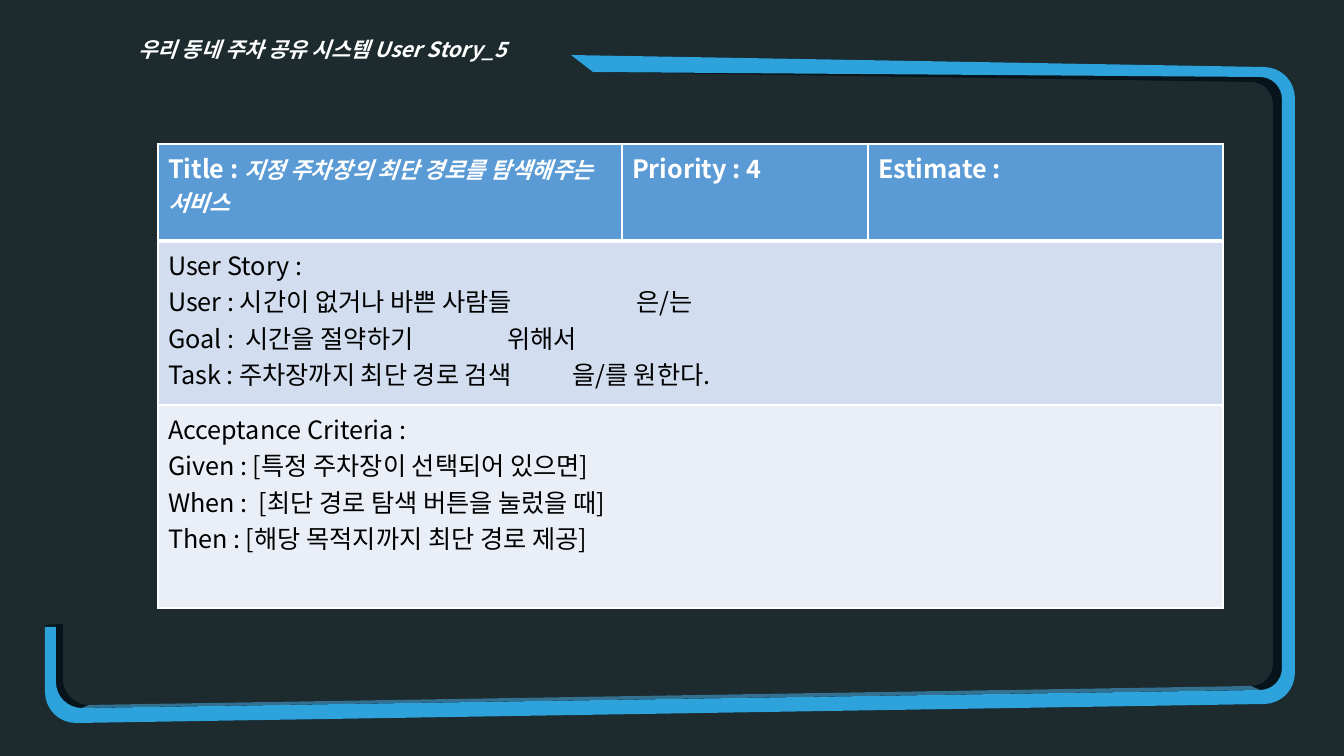
from math import cos, radians, sin

from lxml.etree import SubElement
from pptx import Presentation
from pptx.dml.color import RGBColor
from pptx.enum.text import MSO_ANCHOR, PP_ALIGN
from pptx.oxml.ns import qn
from pptx.util import Pt

PX = 914400 / 100.8
FONT = "Noto Sans CJK KR"
HEADER = {"size": Pt(18), "bold": True, "italic": False}
HEADER_DETAIL = {"size": Pt(16), "bold": True, "italic": True}
BODY = {"size": Pt(18), "bold": False, "italic": False}
HEADING = {"size": Pt(15), "bold": True, "italic": True}

COLUMNS = [464, 246, 355]
ROWS = [97, 164, 203]
HEADER_CELLS = [
    [("Title : ", HEADER), ("지정 주차장의 최단 경로를 탐색해주는 서비스", HEADER_DETAIL)],
    [("Priority : 4", HEADER)],
    [("Estimate : ", HEADER)],
]
# Each line carries the tab position of its ending, if it has one.
STORY = [
    ("User Story :", None),
    ("User : 시간이 없거나 바쁜 사람들\t은/는", 468),
    ("Goal :  시간을 절약하기\t위해서", 339),
    ("Task : 주차장까지 최단 경로 검색\t을/를 원한다.", 404),
]
CRITERIA = [
    ("Acceptance Criteria :", None),
    ("Given : [특정 주차장이 선택되어 있으면]", None),
    ("When :  [최단 경로 탐색 버튼을 눌렀을 때]", None),
    ("Then : [해당 목적지까지 최단 경로 제공]", None),
]


def emu(pixels):
    """Turn pixels into EMU."""
    return round(pixels * PX)


def color(hex_string):
    """Turn a hex string into a colour."""
    return RGBColor.from_string(hex_string)


def paint(target, hex_string):
    """Give a shape, cell or background a solid fill."""
    target.fill.solid()
    target.fill.fore_color.rgb = color(hex_string)


def write(paragraph, text, style, hex_string):
    """Add one styled run to a paragraph."""
    run = paragraph.add_run()
    run.text = text
    run.font.name = FONT
    run.font.color.rgb = color(hex_string)
    for name, value in style.items():
        setattr(run.font, name, value)
    SubElement(run.font._element, qn("a:ea"), typeface=FONT)


def arc(x, y, rx, ry, start, end):
    """Return the points of a rounded corner; angles run clockwise from the right."""
    steps = 8
    angles = [radians(start + (end - start) * i / steps) for i in range(steps + 1)]
    return [(x + rx * cos(a), y + ry * sin(a)) for a in angles]


def draw_outline(slide, box, points, hex_string):
    """Fill a closed outline whose points are relative to the box."""
    left, top = box
    corners = [(emu(left + x), emu(top + y)) for x, y in points]
    builder = slide.shapes.build_freeform(*corners[0], scale=1.0)
    builder.add_line_segments(corners[1:], close=True)
    outline = builder.convert_to_shape()
    outline.shadow.inherit = False
    outline.line.fill.background()
    paint(outline, hex_string)


def draw_frame(slide, box):
    """Draw the tilted open frame: its dark depth, lower edge and bright face."""
    outer = [(526, 0), *arc(1219, 43, 31, 31, -90, 0),
             *arc(1219, 618, 31, 31, 0, 90), *arc(31, 637, 31, 31, 90, 180)]
    depth = [(0, 570), (18, 569), *arc(44, 624, 26, 26, 180, 90),
             *arc(1206, 609, 22, 22, 90, 0),
             *arc(1206, 49, 22, 22, 0, -90), (548, 17)]
    face = [(0, 572), (11, 572), *arc(37, 627, 26, 26, 180, 90),
            *arc(1215, 613, 22, 22, 90, 0),
            *arc(1215, 44, 22, 22, 0, -90), (548, 17)]
    draw_outline(slide, box, outer + depth, "07141B")
    draw_outline(slide, box, [(37, 653), (44, 650), (1206, 631), (1215, 635)], "34708F")
    draw_outline(slide, box, outer + face, "2DA2DB")


def draw_heading(slide, box):
    """Write the centred heading of the slide."""
    frame = slide.shapes.add_textbox(*map(emu, box)).text_frame
    frame.word_wrap = True
    heading = frame.paragraphs[0]
    heading.alignment = PP_ALIGN.CENTER
    heading.line_spacing = 1.5
    write(heading, "우리 동네 주차 공유 시스템 User Story_5", HEADING, "FFFFFF")


def style_cell(cell, hex_string, top=1, bottom=1):
    """Give a cell white borders and a fill."""
    properties = cell._tc.get_or_add_tcPr()
    for side, width in {"L": 1, "R": 1, "T": top, "B": bottom}.items():
        border = SubElement(properties, qn(f"a:ln{side}"), w=str(Pt(width)))
        fill = SubElement(border, qn("a:solidFill"))
        SubElement(fill, qn("a:srgbClr"), val="FFFFFF")
    paint(cell, hex_string)
    cell.vertical_anchor = MSO_ANCHOR.TOP


def write_lines(cell, lines):
    """Write the lines of a merged cell, setting the tab of each."""
    frame = cell.text_frame
    for index, (text, tab) in enumerate(lines):
        line = frame.add_paragraph() if index else frame.paragraphs[0]
        if tab:
            stops = SubElement(line._p.get_or_add_pPr(), qn("a:tabLst"))
            SubElement(stops, qn("a:tab"), pos=str(emu(tab)), algn="l")
        write(line, text, BODY, "000000")


def draw_story_card(slide, box):
    """Build the user story table."""
    card = slide.shapes.add_table(len(ROWS), len(COLUMNS), *map(emu, box)).table
    for column, width in zip(card.columns, COLUMNS):
        column.width = emu(width)
    for row, height in zip(card.rows, ROWS):
        row.height = emu(height)
    for index, runs in enumerate(HEADER_CELLS):
        cell = card.cell(0, index)
        style_cell(cell, "5B9BD5", bottom=3)
        for text, style in runs:
            write(cell.text_frame.paragraphs[0], text, style, "FFFFFF")
    sections = [(STORY, "D2DEEF", 3), (CRITERIA, "EAEFF7", 1)]
    for row, (lines, fill, top) in enumerate(sections, start=1):
        for column in range(len(COLUMNS)):
            style_cell(card.cell(row, column), fill, top=top)
        card.cell(row, 0).merge(card.cell(row, len(COLUMNS) - 1))
        write_lines(card.cell(row, 0), lines)


def main():
    """Build and save the slide."""
    deck = Presentation()
    deck.slide_width, deck.slide_height = emu(1344), emu(756)
    slide = deck.slides.add_slide(deck.slide_layouts[6])
    paint(slide.background, "1D2B2E")
    draw_frame(slide, (45, 55))
    draw_heading(slide, (0, 19, 645, 43))
    draw_story_card(slide, (158, 144, sum(COLUMNS), sum(ROWS)))
    deck.save("out.pptx")


main()
